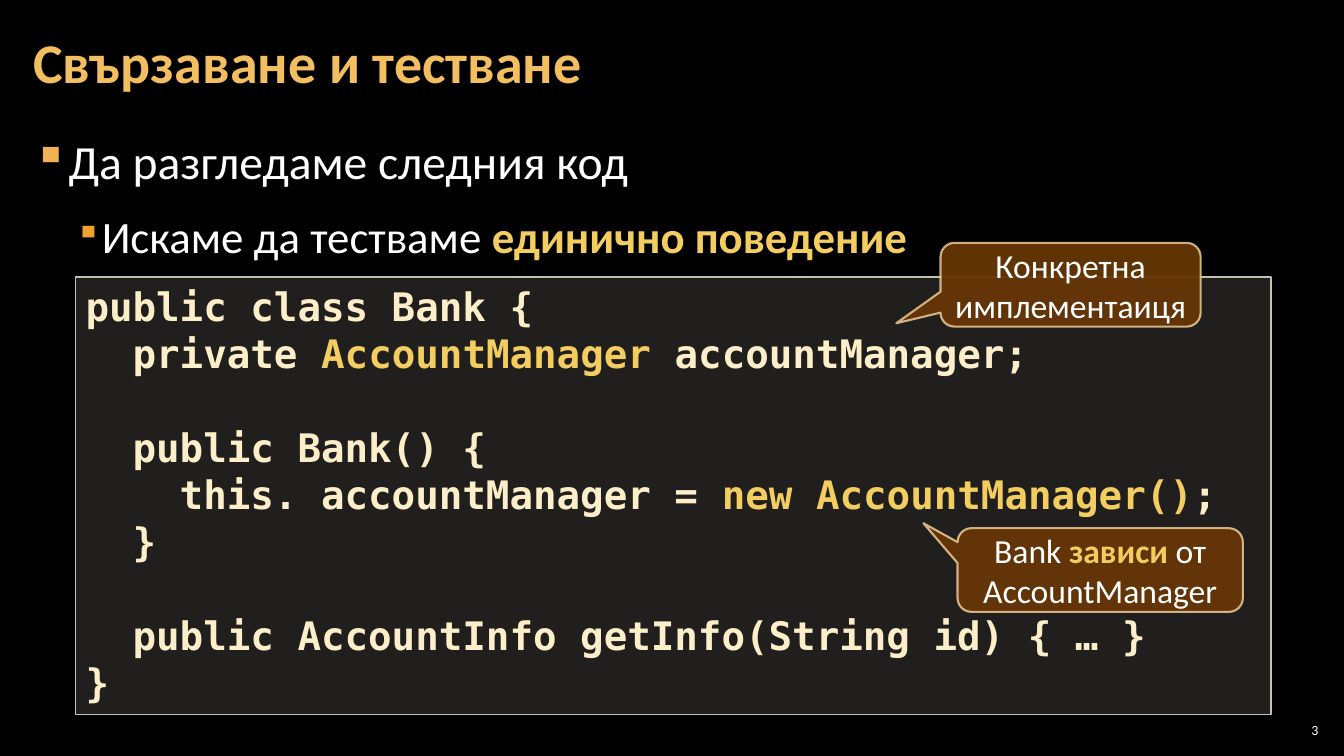
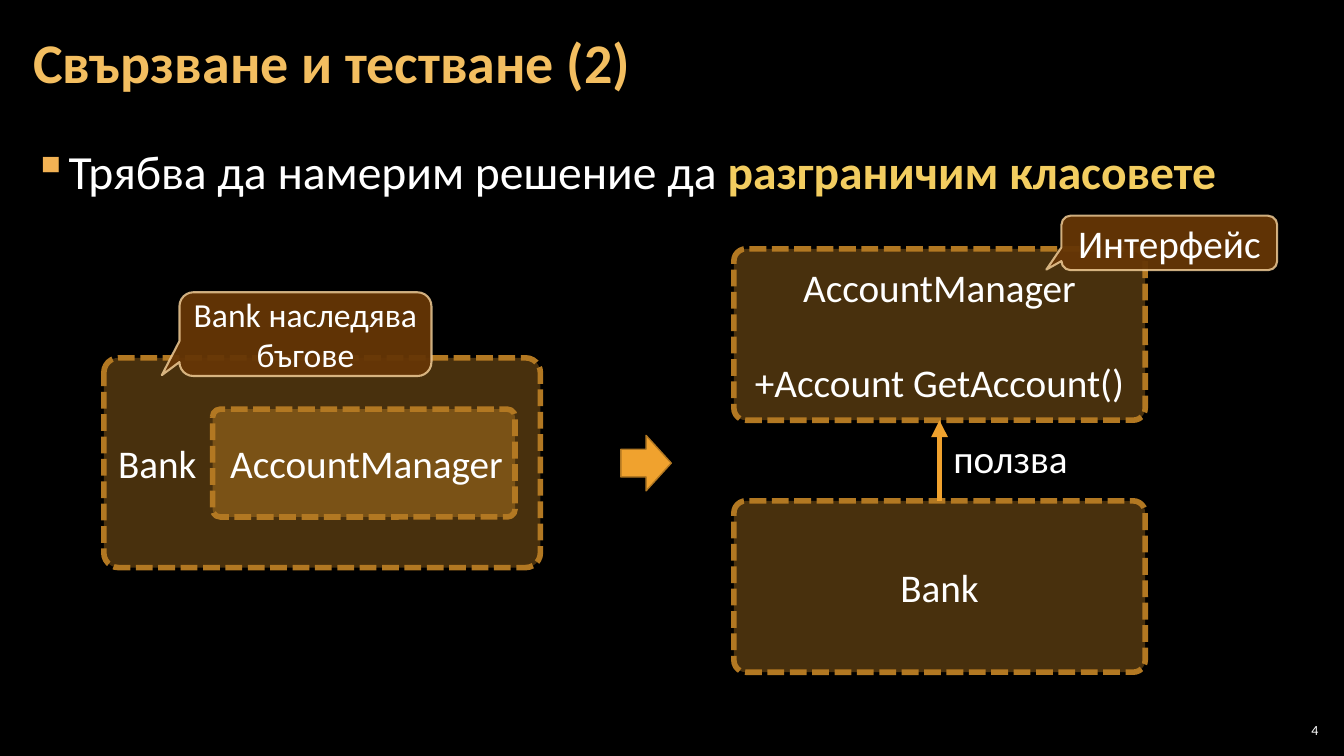
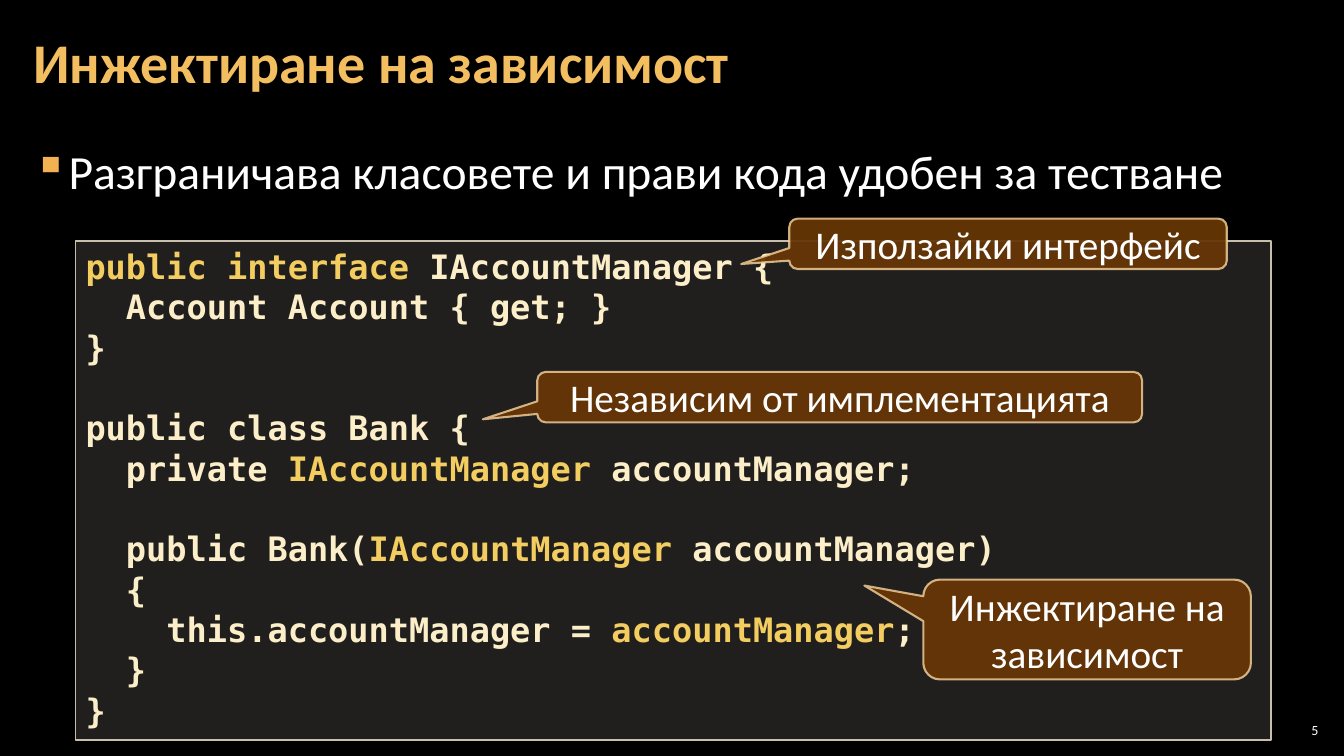
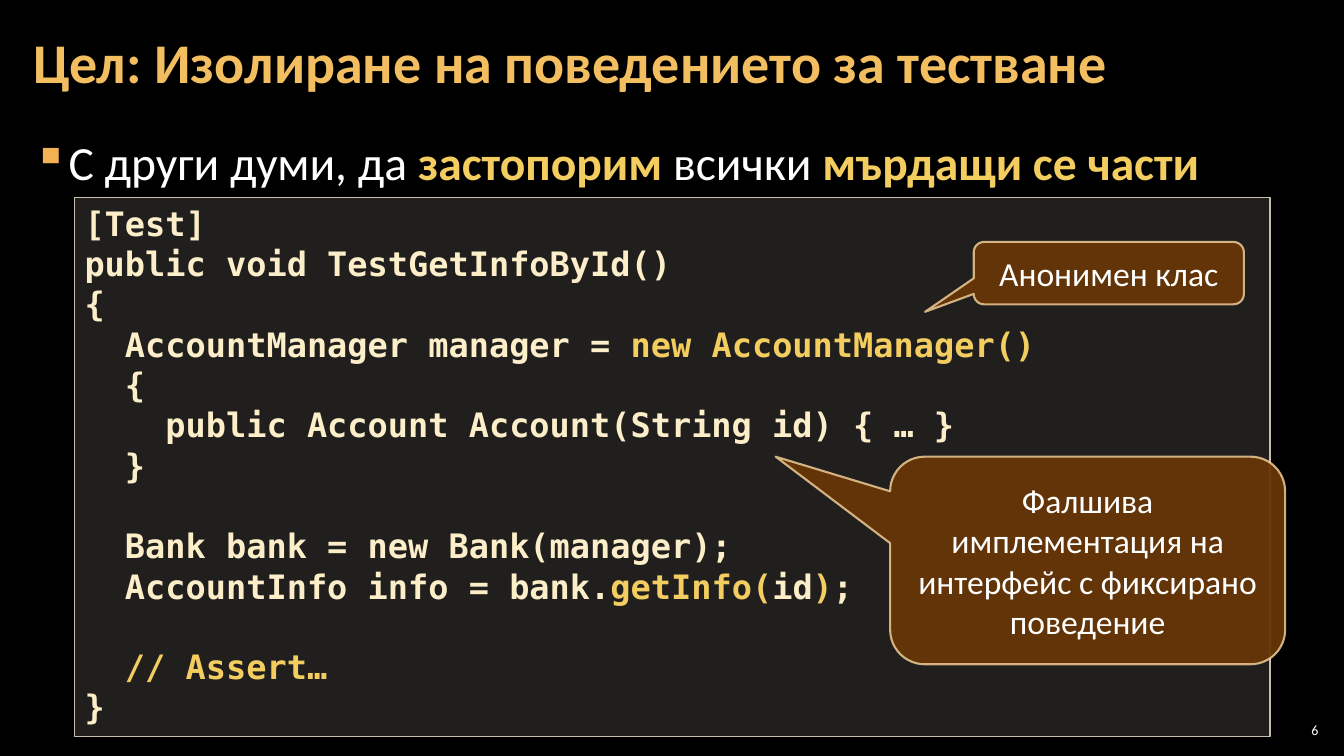
"""Build four slides on coupling, dependency injection and testing."""
from dataclasses import dataclass

from lxml.etree import SubElement
from pptx import Presentation
from pptx.dml.color import RGBColor
from pptx.enum.dml import MSO_LINE
from pptx.enum.shapes import MSO_CONNECTOR, MSO_SHAPE
from pptx.enum.text import MSO_ANCHOR, PP_ALIGN
from pptx.oxml.ns import qn
from pptx.util import Pt


@dataclass(frozen=True)
class Theme:
    """Colours, fonts and type sizes shared by all slides."""
    back: str = "000000"
    text: str = "FFFFFF"
    title: str = "F3BE60"
    strong: str = "F3CD60"
    bullet: str = "F2B254"
    accent: str = "F0A22E"
    edge: str = "B27822"
    code: str = "FBEEC9"
    code_fill: str = "D9D5C7"
    code_line: str = "C7BFAC"
    callout_fill: str = "663606"
    callout_line: str = "F8D49E"
    font: str = "Calibri"
    mono: str = "DejaVu Sans Mono"
    title_size: int = 40
    level_sizes: tuple = (34, 32)
    label_size: int = 28
    small_size: int = 24
    number_size: int = 10


T = Theme()
MARGINS = (8.5, 2.9, 8.5, 2.9)


def rgb(value):
    """Turn a hex string into a colour."""
    return RGBColor.from_string(value)


def box(values):
    """Turn left, top, width and height into lengths."""
    return [Pt(v) for v in values]


def set_alpha(fill_parent, percent):
    """Make the solid colour under an element partly transparent."""
    color = fill_parent.find(qn("a:solidFill")).find(qn("a:srgbClr"))
    SubElement(color, qn("a:alpha")).set("val", str(percent * 1000))


def add_runs(p, text, size, color=T.text, font=T.font, bold=False, strong_bold=True):
    """Add runs to a paragraph, stressing the parts between asterisks."""
    for i, part in enumerate(text.split("*")):
        if part:
            r = p.add_run()
            r.text = part
            r.font.name, r.font.size = font, Pt(size)
            r.font.bold = strong_bold if i % 2 else bold
            r.font.color.rgb = rgb(T.strong if i % 2 else color)


def next_paragraph(tf, index):
    """Return the first paragraph of a frame or a new one."""
    return tf.paragraphs[0] if index == 0 else tf.add_paragraph()


def add_lines(tf, lines, size, pitch, align=PP_ALIGN.LEFT, **style):
    """Fill a frame, turning empty lines into space before the next one."""
    index, gap = 0, 0
    for line in lines:
        if not line:
            gap += size * pitch
            continue
        p = next_paragraph(tf, index)
        p.alignment = align
        if gap:
            p.space_before = Pt(gap)
        add_runs(p, line, size, **style)
        index, gap = index + 1, 0


def add_textbox(s, at, anchor=MSO_ANCHOR.TOP, margins=MARGINS, wrap=True):
    """Add a text box and return its frame."""
    tf = s.shapes.add_textbox(*box(at)).text_frame
    tf.word_wrap, tf.vertical_anchor = wrap, anchor
    tf.margin_left, tf.margin_top, tf.margin_right, tf.margin_bottom = box(margins)
    return tf


def add_shape(s, kind, at, fill, line, width, alpha=100, anchor=MSO_ANCHOR.MIDDLE):
    """Add a filled and outlined shape without a shadow."""
    sp = s.shapes.add_shape(kind, *box(at))
    sp.shadow.inherit = False
    sp.fill.solid()
    sp.fill.fore_color.rgb = rgb(fill)
    if alpha < 100:
        set_alpha(sp._element.spPr, alpha)
    sp.line.color.rgb, sp.line.width = rgb(line), Pt(width)
    sp.text_frame.word_wrap, sp.text_frame.vertical_anchor = True, anchor
    return sp


def add_slide(prs, number, title):
    """Add a slide with its title and number."""
    s = prs.slides.add_slide(prs.slide_layouts[6])
    p = add_textbox(s, (15.1, 2.9, 929.5, 87), MSO_ANCHOR.MIDDLE).paragraphs[0]
    p.line_spacing = 0.9
    add_runs(p, title, T.title_size, T.title, bold=True)
    p = add_textbox(s, (910.8, 514, 33.8, 15), MSO_ANCHOR.MIDDLE, (2.9,) * 4).paragraphs[0]
    p.alignment = PP_ALIGN.RIGHT
    add_runs(p, str(number), T.number_size)
    return s


def add_bullets(s, top, *lines):
    """Add bulleted lines, each one level deeper than the last."""
    tf = add_textbox(s, (15.1, top, 929.5, 432))
    looks = ((24, 24, T.bullet, 100), (48, 18, T.accent, 80))
    for level, (line, (left, hang, color, percent)) in enumerate(zip(lines, looks)):
        p = next_paragraph(tf, level)
        p.level = level
        pPr = p._p.get_or_add_pPr()
        pPr.set("marL", str(Pt(left)))
        pPr.set("indent", str(-Pt(hang)))
        SubElement(SubElement(pPr, qn("a:buClr")), qn("a:srgbClr")).set("val", color)
        SubElement(pPr, qn("a:buSzPct")).set("val", str(percent * 1000))
        SubElement(pPr, qn("a:buChar")).set("char", "▪")
        p.line_spacing, p.space_after = 1.05, Pt(6)
        if level:
            p.space_before = Pt(6)
        add_runs(p, line, T.level_sizes[level])


def add_code(s, at, size, source):
    """Add a panel of source code."""
    sp = add_shape(s, MSO_SHAPE.RECTANGLE, at, T.code_fill, T.code_line, 1, 15, MSO_ANCHOR.TOP)
    add_lines(sp.text_frame, source.strip("\n").split("\n"), size, 1.2,
              color=T.code, font=T.mono, bold=True)


def add_callout(s, at, tip, text, size=T.small_size):
    """Add a speech bubble whose tip is given relative to its centre."""
    sp = add_shape(s, MSO_SHAPE.ROUNDED_RECTANGULAR_CALLOUT, at,
                   T.callout_fill, T.callout_line, 1.5, 95)
    set_alpha(sp.line._get_or_add_ln(), 80)
    sp.adjustments[0], sp.adjustments[1] = tip
    add_lines(sp.text_frame, [text], size, 1.22, PP_ALIGN.CENTER)


def add_class_box(s, at, lines, align=PP_ALIGN.CENTER):
    """Add a dashed box that stands for a class."""
    sp = add_shape(s, MSO_SHAPE.ROUNDED_RECTANGLE, at, T.accent, T.edge, 4, 30)
    sp.adjustments[0] = 0.07
    sp.line.dash_style = MSO_LINE.SQUARE_DOT
    add_lines(sp.text_frame, lines, T.label_size, 1.22, align)


def add_arrow(s, x, start, end):
    """Add a vertical arrow."""
    c = s.shapes.add_connector(MSO_CONNECTOR.STRAIGHT, Pt(x), Pt(start), Pt(x), Pt(end))
    c.line.color.rgb, c.line.width = rgb(T.accent), Pt(4)
    SubElement(c.line._get_or_add_ln(), qn("a:tailEnd")).set("type", "triangle")
    SubElement(c._element.spPr, qn("a:effectLst"))


BANK_CODE = """
public class Bank {
  private *AccountManager* accountManager;

  public Bank() {
    this. accountManager = *new AccountManager()*;
  }

  public AccountInfo getInfo(String id) { … }
}
"""

INJECTION_CODE = """
*public interface* IAccountManager {
  Account Account { get; }
}

public class Bank {
  private *IAccountManager* accountManager;

  public Bank(*IAccountManager* accountManager)
  {
    this.accountManager = *accountManager*;
  }
}
"""

TEST_CODE = """
[Test]
public void TestGetInfoById()
{
  AccountManager manager = *new AccountManager()*
  {
    public Account Account(String id) { … }
  }

  Bank bank = new Bank(manager);
  AccountInfo info = bank.*getInfo(*id*)*;

*  // Assert…*
}
"""


def add_coupling(prs):
    """Show a class that creates its own dependency."""
    s = add_slide(prs, 3, "Свързаване и тестване")
    add_bullets(s, 89.5, "Да разгледаме следния код", "Искаме да тестваме *единично поведение*")
    add_code(s, (54, 198, 854, 312.5), 28, BANK_CODE)
    add_callout(s, (684, 377.3, 203.8, 59.8), (-0.62, -0.56), "Bank *зависи *от AccountManager")
    add_callout(s, (671.8, 173.5, 185.8, 59.8), (-0.67, 0.46), "Конкретна имплементаиця")


def add_decoupling(prs):
    """Show the class before and after its dependency is split off."""
    s = add_slide(prs, 4, "Свързване и тестване (2)")
    add_bullets(s, 96.7, "Трябва да намерим решение да *разграничим класовете*")
    add_class_box(s, (74.2, 255.6, 311.8, 149.8), ["Bank"], PP_ALIGN.LEFT)
    add_class_box(s, (151.9, 292.3, 216, 77), ["AccountManager"], PP_ALIGN.RIGHT)
    left, width, height, upper, lower = 524.2, 293.8, 122.4, 177.8, 357.8
    add_class_box(s, (left, lower, width, height), ["Bank"])
    add_class_box(s, (left, upper, width, height), ["AccountManager", "", "+Account GetAccount()"])
    add_arrow(s, left + width / 2, lower, upper + height)
    tf = add_textbox(s, (673.9, 306.7, 97.2, 41), margins=(7.2, 3.6, 7.2, 3.6), wrap=False)
    add_lines(tf, ["ползва"], T.label_size, 1.22)
    add_shape(s, MSO_SHAPE.RIGHT_ARROW, (443.5, 311, 36, 39.6), T.accent, T.edge, 1)
    tip = (-0.57, 0.49)
    add_callout(s, (758.2, 154.1, 154.1, 38.9), tip, "Интерфейс", T.label_size)
    add_callout(s, (128.2, 208.8, 180, 59.8), tip, "Bank наследява бъгове")


def add_injection(prs):
    """Show the dependency passed in through an interface."""
    s = add_slide(prs, 5, "Инжектиране на зависимост")
    add_bullets(s, 96.7, "Разграничава класовете и прави кода удобен за тестване")
    add_code(s, (54, 172.1, 854, 356.4), 24, INJECTION_CODE)
    for at, tip, text in (
        ((563.8, 156.2, 312.5, 36), (-0.61, 0.4), "Използайки интерфейс"),
        ((659.5, 414, 234, 71.3), (-0.68, -0.44), "Инжектиране на зависимост"),
        ((383.8, 265.7, 432, 36), (-0.59, 0.44), "Независим от имплементацията"),
    ):
        add_callout(s, at, tip, text, T.label_size)


def add_isolation(prs):
    """Show a test with a fake implementation."""
    s = add_slide(prs, 6, "Цел: Изолиране на поведението за тестване")
    add_bullets(s, 90.2, "С други думи, да *застопорим *всички *мърдащи се части*")
    add_code(s, (53.3, 141.1, 854, 385.2), 24, TEST_CODE)
    add_callout(s, (635.8, 326.2, 282.2, 148.3), (-0.79, -0.5),
                "Фалшива имплементация на интерфейс с фиксирано поведение")
    add_callout(s, (695.5, 172.8, 193, 44.6), (-0.68, 0.62), "Анонимен клас")


def main():
    """Build and save the presentation."""
    prs = Presentation()
    prs.slide_width, prs.slide_height = Pt(960), Pt(540)
    back = prs.slide_master.background.fill
    back.solid()
    back.fore_color.rgb = rgb(T.back)
    for build in (add_coupling, add_decoupling, add_injection, add_isolation):
        build(prs)
    prs.save("out.pptx")


if __name__ == "__main__":
    main()
